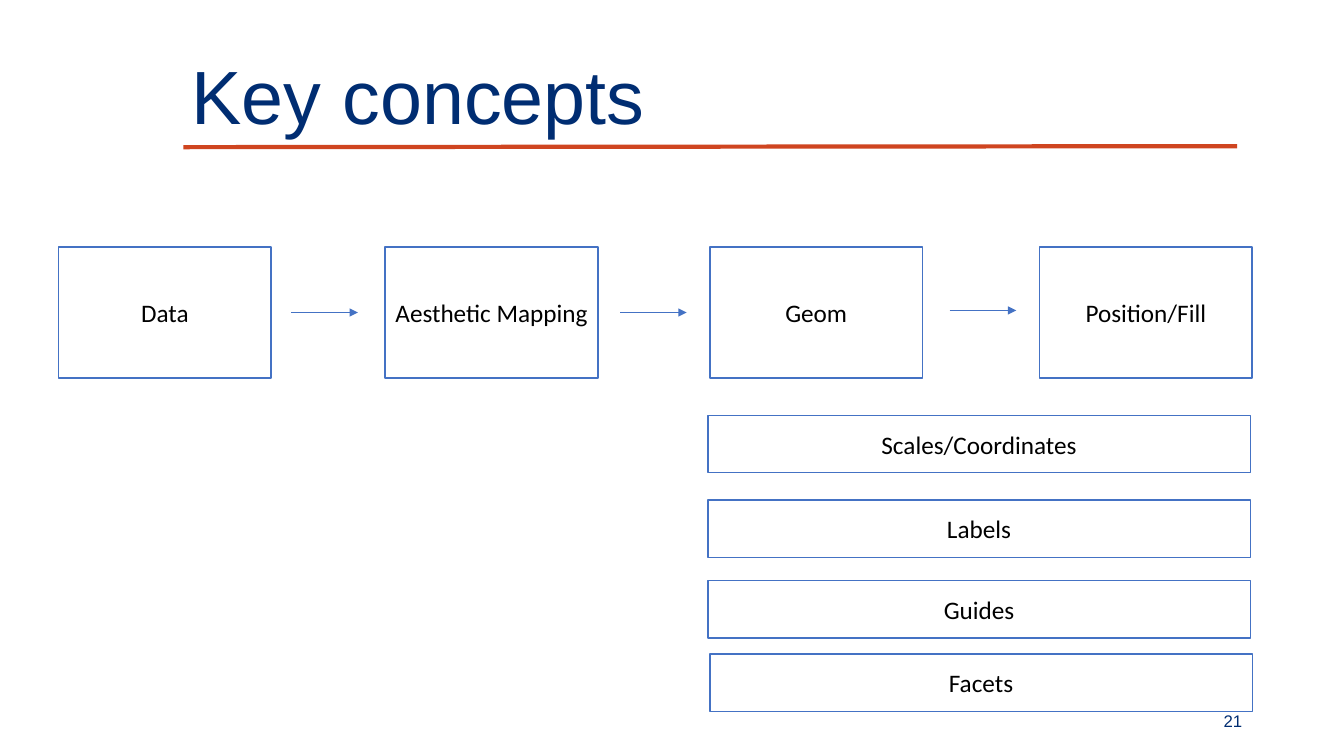
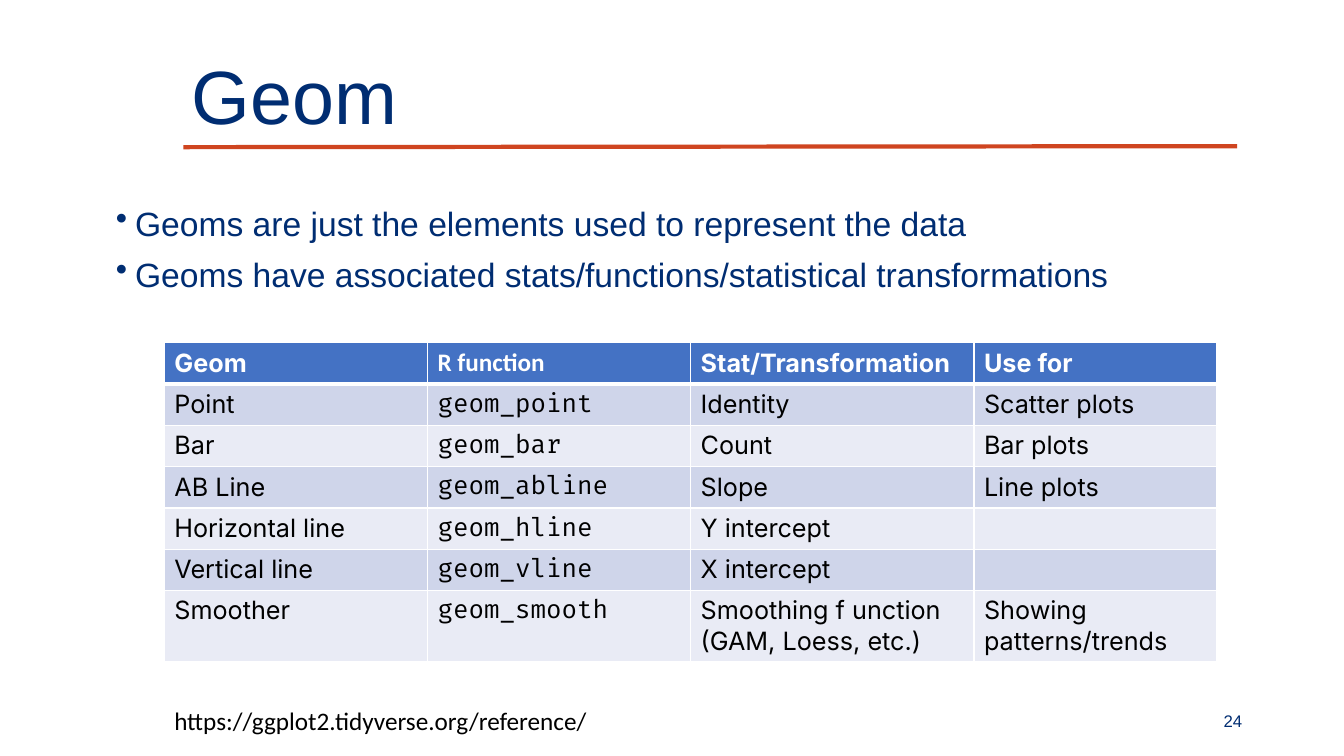
from lxml import etree
from pptx import Presentation
from pptx.dml.color import RGBColor
from pptx.enum.shapes import MSO_CONNECTOR, MSO_SHAPE
from pptx.enum.text import MSO_ANCHOR, MSO_AUTO_SIZE, PP_ALIGN
from pptx.oxml.ns import qn
from pptx.util import Inches, Pt

STRAIGHT = MSO_CONNECTOR.STRAIGHT
RECTANGLE = MSO_SHAPE.RECTANGLE
TOP, MIDDLE = MSO_ANCHOR.TOP, MSO_ANCHOR.MIDDLE
LEFT, CENTER, RIGHT = PP_ALIGN.LEFT, PP_ALIGN.CENTER, PP_ALIGN.RIGHT
NO_AUTOFIT = MSO_AUTO_SIZE.NONE

NAVY = RGBColor(0x00, 0x2D, 0x72)
ORANGE = RGBColor(0xCF, 0x45, 0x20)
BLUE = RGBColor(0x44, 0x72, 0xC4)
BAND_DARK = RGBColor(0xCF, 0xD5, 0xEA)
BAND_LIGHT = RGBColor(0xE9, 0xEB, 0xF5)
WHITE = RGBColor(0xFF, 0xFF, 0xFF)
BLACK = RGBColor(0x00, 0x00, 0x00)

# Key concepts: label and left edge of each step, start of each arrow
STEPS = [("Data", 0.58), ("Aesthetic Mapping", 3.82), ("Geom", 7.04), ("Position/Fill", 10.31)]
STEP_TOP, STEP_WIDTH, STEP_HEIGHT = 2.45, 2.11, 1.3
ARROWS = [(2.89, 3.1), (6.15, 3.1), (9.42, 3.08)]
ARROW_LENGTH = 0.66
LAYERS = [
    ("Scales/Coordinates", 7.02, 4.12),
    ("Labels", 7.02, 4.96),
    ("Guides", 7.02, 5.76),
    ("Facets", 7.04, 6.49),
]
LAYER_WIDTH, LAYER_HEIGHT = 5.38, 0.57

# Geom
BULLETS = [
    "Geoms are just the elements used to represent the data",
    "Geoms have associated stats/functions/statistical transformations",
]
GEOM_ROWS = [
    ("Geom", "R function", "Stat/Transformation", "Use for"),
    ("Point", "geom_point", "Identity", "Scatter plots"),
    ("Bar", "geom_bar", "Count", "Bar plots"),
    ("AB Line", "geom_abline", "Slope", "Line plots"),
    ("Horizontal line", "geom_hline", "Y intercept", ""),
    ("Vertical line", "geom_vline", "X intercept", ""),
    ("Smoother", "geom_smooth", "Smoothing f unction (GAM, Loess, etc.)", "Showing patterns/trends"),
]
COLUMN_WIDTHS = [2.61, 2.61, 2.81, 2.41]
HEADER_FONTS = ["Inter", "Calibri", "Inter", "Inter"]
BODY_FONTS = ["Inter", "Fira Code", "Inter", "Inter"]
ROW_HEIGHT, LAST_ROW_HEIGHT = 0.41, 0.67
REFERENCE = "https://ggplot2.tidyverse.org/reference/"


def style_runs(paragraph, font_name, size, color, bold=False):
    for run in paragraph.runs:
        run.font.name = font_name
        run.font.size = Pt(size)
        run.font.color.rgb = color
        run.font.bold = bold


def clear_margins(text_frame):
    text_frame.margin_left = text_frame.margin_right = 0
    text_frame.margin_top = text_frame.margin_bottom = 0


def add_text_box(slide, left, top, width, height):
    box = slide.shapes.add_textbox(Inches(left), Inches(top), Inches(width), Inches(height))
    box.text_frame.word_wrap = True
    return box.text_frame


def add_line(slide, start, end, color, width, arrowhead=False):
    line = slide.shapes.add_connector(STRAIGHT, *map(Inches, start + end))
    line.line.color.rgb = color
    line.line.width = Pt(width)
    if arrowhead:
        etree.SubElement(line.line._get_or_add_ln(), qn("a:tailEnd"), type="triangle")
    etree.SubElement(line._element.spPr, qn("a:effectLst"))


def add_titled_slide(presentation, title_text, number):
    """Add a slide with the shared title, rule and slide number."""
    slide = presentation.slides.add_slide(presentation.slide_layouts[5])
    title = slide.shapes.title
    title.left, title.top = Inches(1.9), Inches(0.34)
    title.width, title.height = Inches(9.84), Inches(0.94)
    text_frame = title.text_frame
    text_frame.text = title_text
    text_frame.auto_size = NO_AUTOFIT
    text_frame.vertical_anchor = TOP
    clear_margins(text_frame)
    paragraph = text_frame.paragraphs[0]
    paragraph.alignment = LEFT
    paragraph.line_spacing = Pt(75.5)
    style_runs(paragraph, "Arial", 53.9, NAVY)

    add_line(slide, (1.82, 1.46), (12.27, 1.45), ORANGE, 3)

    number_frame = add_text_box(slide, 9.42, 6.95, 3, 0.4)
    number_frame.text = str(number)
    number_frame.vertical_anchor = MIDDLE
    number_frame.paragraphs[0].alignment = RIGHT
    style_runs(number_frame.paragraphs[0], "Arial", 12, NAVY)
    return slide


def add_concept_box(slide, label, left, top, width, height):
    box = slide.shapes.add_shape(RECTANGLE, Inches(left), Inches(top), Inches(width), Inches(height))
    box.shadow.inherit = False
    box.fill.solid()
    box.fill.fore_color.rgb = WHITE
    box.line.color.rgb = BLUE
    box.line.width = Pt(1)
    text_frame = box.text_frame
    text_frame.text = label
    text_frame.vertical_anchor = MIDDLE
    text_frame.paragraphs[0].alignment = CENTER
    style_runs(text_frame.paragraphs[0], "Calibri", 18, BLACK)


def add_bullets(slide, items):
    text_frame = add_text_box(slide, 0.96, 2.07, 10.44, 0.84)
    clear_margins(text_frame)
    text_frame.text = "\n".join(items)
    for index, paragraph in enumerate(text_frame.paragraphs):
        properties = paragraph._p.get_or_add_pPr()
        properties.set("marL", str(Inches(0.38)))
        properties.set("indent", str(Inches(-0.19)))
        etree.SubElement(properties, qn("a:buChar"), char="•")
        paragraph.line_spacing = Pt(24.4)
        if index:
            paragraph.space_before = Pt(12)
        style_runs(paragraph, "Arial", 24, NAVY)


def set_borders(cell, top_width, bottom_width):
    properties = cell._tc.get_or_add_tcPr()
    for side, width in (("lnL", 1), ("lnR", 1), ("lnT", top_width), ("lnB", bottom_width)):
        border = etree.SubElement(properties, qn(f"a:{side}"), w=str(Pt(width)))
        fill = etree.SubElement(border, qn("a:solidFill"))
        etree.SubElement(fill, qn("a:srgbClr"), val=str(WHITE))


def add_geom_table(slide):
    heights = [ROW_HEIGHT] * (len(GEOM_ROWS) - 1) + [LAST_ROW_HEIGHT]
    table = slide.shapes.add_table(
        len(GEOM_ROWS), len(COLUMN_WIDTHS), Inches(1.63), Inches(3.4),
        Inches(sum(COLUMN_WIDTHS)), Inches(sum(heights)),
    ).table
    table.horz_banding = False
    for column, width in zip(table.columns, COLUMN_WIDTHS):
        column.width = Inches(width)
    for row_index, values in enumerate(GEOM_ROWS):
        table.rows[row_index].height = Inches(heights[row_index])
        header = row_index == 0
        if header:
            fill_color, text_color, fonts = BLUE, WHITE, HEADER_FONTS
        else:
            fill_color = BAND_DARK if row_index % 2 else BAND_LIGHT
            text_color, fonts = BLACK, BODY_FONTS
        for column_index, value in enumerate(values):
            cell = table.cell(row_index, column_index)
            cell.text = value
            set_borders(cell, 3 if row_index == 1 else 1, 3 if header else 1)
            cell.fill.solid()
            cell.fill.fore_color.rgb = fill_color
            style_runs(cell.text_frame.paragraphs[0], fonts[column_index], 18, text_color, header)


def build_key_concepts(presentation):
    slide = add_titled_slide(presentation, "Key concepts", 21)
    for label, left in STEPS:
        add_concept_box(slide, label, left, STEP_TOP, STEP_WIDTH, STEP_HEIGHT)
    for left, top in ARROWS:
        add_line(slide, (left, top), (left + ARROW_LENGTH, top), BLUE, 0.5, arrowhead=True)
    for label, left, top in LAYERS:
        add_concept_box(slide, label, left, top, LAYER_WIDTH, LAYER_HEIGHT)


def build_geom(presentation):
    slide = add_titled_slide(presentation, "Geom", 24)
    add_bullets(slide, BULLETS)
    add_geom_table(slide)
    reference_frame = add_text_box(slide, 1.63, 6.95, 4.35, 0.4)
    reference_frame.word_wrap = False
    reference_frame.text = REFERENCE
    style_runs(reference_frame.paragraphs[0], "Calibri", 18, BLACK)


def main():
    presentation = Presentation()
    presentation.slide_width = Inches(13.33)
    presentation.slide_height = Inches(7.5)
    build_key_concepts(presentation)
    build_geom(presentation)
    presentation.save("out.pptx")


if __name__ == "__main__":
    main()
